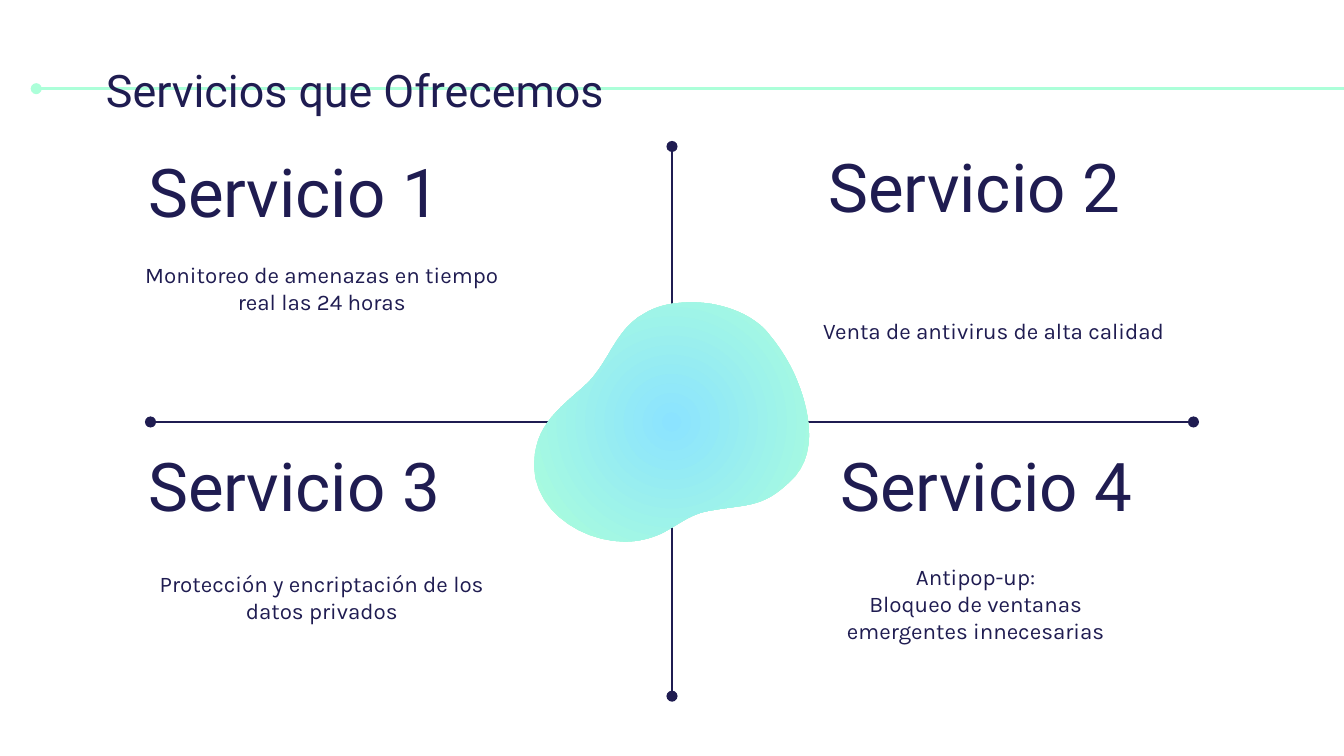
from lxml import etree
from pptx import Presentation
from pptx.dml.color import RGBColor
from pptx.enum.shapes import MSO_CONNECTOR
from pptx.enum.text import MSO_ANCHOR, PP_ALIGN
from pptx.oxml.ns import qn
from pptx.util import Inches, Pt

LINE = MSO_CONNECTOR.STRAIGHT
TOP, MID = MSO_ANCHOR.TOP, MSO_ANCHOR.MIDDLE
LEFT, MIDDLE = PP_ALIGN.LEFT, PP_ALIGN.CENTER

THEME = {
    "ink": RGBColor.from_string("1F1C51"),
    "mint": RGBColor.from_string("ACFFD9"),
    "sky": RGBColor.from_string("8BE3FF"),
    "title": {"name": "Roboto", "size": Pt(24)},
    "head": {"name": "Roboto", "size": Pt(36)},
    "body": {"name": "Karla", "size": Pt(12)},
    "line": Pt(1.5),
}


def add_text(slide, box, lines, style, align, anchor, pad=0.1):
    frame = slide.shapes.add_textbox(*map(Inches, box)).text_frame
    form = {
        "word_wrap": True,
        "vertical_anchor": anchor,
        "margin_left": Inches(0.1),
        "margin_right": Inches(0.1),
        "margin_top": Inches(pad),
        "margin_bottom": Inches(pad),
    }
    for key, value in form.items():
        setattr(frame, key, value)
    for i, line in enumerate(lines):
        para = frame.add_paragraph() if i else frame.paragraphs[0]
        para.alignment = align
        run = para.add_run()
        run.text = line
        for key, value in THEME[style].items():
            setattr(run.font, key, value)
        run.font.color.rgb = THEME["ink"]


def add_line(slide, ends, color, tips):
    line = slide.shapes.add_connector(LINE, *map(Inches, ends))
    line.line.color.rgb = THEME[color]
    line.line.width = THEME["line"]
    props = line._element.spPr
    for tip in tips:
        etree.SubElement(props.find(qn("a:ln")), qn(tip), type="oval")
    etree.SubElement(props, qn("a:effectLst"))


deck = Presentation()
deck.slide_width = Inches(10)
deck.slide_height = deck.slide_width * 9 // 16
slide = deck.slides.add_slide(deck.slide_layouts[6])

add_line(slide, (0.27, 0.66, 10.1, 0.66), "mint", ["a:headEnd"])
for ends in [(5, 5.18, 5, 1.09), (1.12, 3.14, 8.88, 3.14)]:
    add_line(slide, ends, "ink", ["a:headEnd", "a:tailEnd"])

start = (5.15, 2.25)
curves = [
    ((5.02, 2.25), (4.9, 2.27), (4.8, 2.33)),
    ((4.57, 2.45), (4.53, 2.72), (4.34, 2.88)),
    ((4.17, 3.03), (4.01, 3.15), (3.98, 3.38)),
    ((3.92, 3.76), (4.3, 4.03), (4.65, 4.03)),
    ((4.74, 4.03), (4.83, 4.01), (4.92, 3.97)),
    ((5.04, 3.91), (5.14, 3.82), (5.28, 3.8)),
    ((5.56, 3.75), (5.67, 3.78), (5.87, 3.59)),
    ((6.08, 3.41), (6.04, 3.1), (5.93, 2.83)),
    ((5.87, 2.68), (5.77, 2.54), (5.69, 2.45)),
    ((5.56, 2.32), (5.35, 2.25), (5.15, 2.25)),
]
steps = 12
dots = []
last = start
for curve in curves:
    for n in range(1, steps + 1):
        t = n / steps
        parts = ((1 - t) ** 3, 3 * t * (1 - t) ** 2, 3 * t**2 * (1 - t), t**3)
        knots = (last, *curve)
        dots.append([Inches(sum(w * k[axis] for w, k in zip(parts, knots))) for axis in (0, 1)])
    last = curve[-1]
pen = slide.shapes.build_freeform(*map(Inches, start))
pen.add_line_segments(dots, close=True)
blob = pen.convert_to_shape()
blob.shadow.inherit = False
blob.line.fill.background()
blob.fill.gradient()
for stop, color in zip(blob.fill.gradient_stops, ("sky", "mint")):
    stop.color.rgb = THEME[color]
grad = blob._element.spPr.find(qn("a:gradFill"))
grad.remove(grad.find(qn("a:lin")))
round_fill = etree.SubElement(grad, qn("a:path"), path="circle")
sides = dict.fromkeys("ltrb", "50000")
etree.SubElement(round_fill, qn("a:fillToRect"), **sides)

add_text(slide, (0.69, 0.37, 6.65, 0.59), ["Servicios que Ofrecemos"], "title", LEFT, MID)

heads = [(0.66, 1.02), (5.72, 0.98), (0.66, 3.21), (5.81, 3.21)]
for i, spot in enumerate(heads, 1):
    add_text(slide, (*spot, 3.06, 0.86), [f"Servicio {i}"], "head", MIDDLE, TOP)

bodies = [
    ((0.91, 1.84, 2.97, 0.59), ["Monitoreo de amenazas en tiempo real las 24 horas"], 0.1),
    ((5.91, 2.26, 2.97, 0.59), ["Venta de antivirus de alta calidad"], 0.1),
    ((0.91, 4.14, 2.97, 0.59), ["Protección y encriptación de los datos privados"], 0.1),
    ((6.08, 4.14, 2.36, 0.94), ["Antipop-up:", "Bloqueo de ventanas emergentes innecesarias"], 0.05),
]
for box, lines, pad in bodies:
    add_text(slide, box, lines, "body", MIDDLE, TOP, pad)

deck.save("out.pptx")
